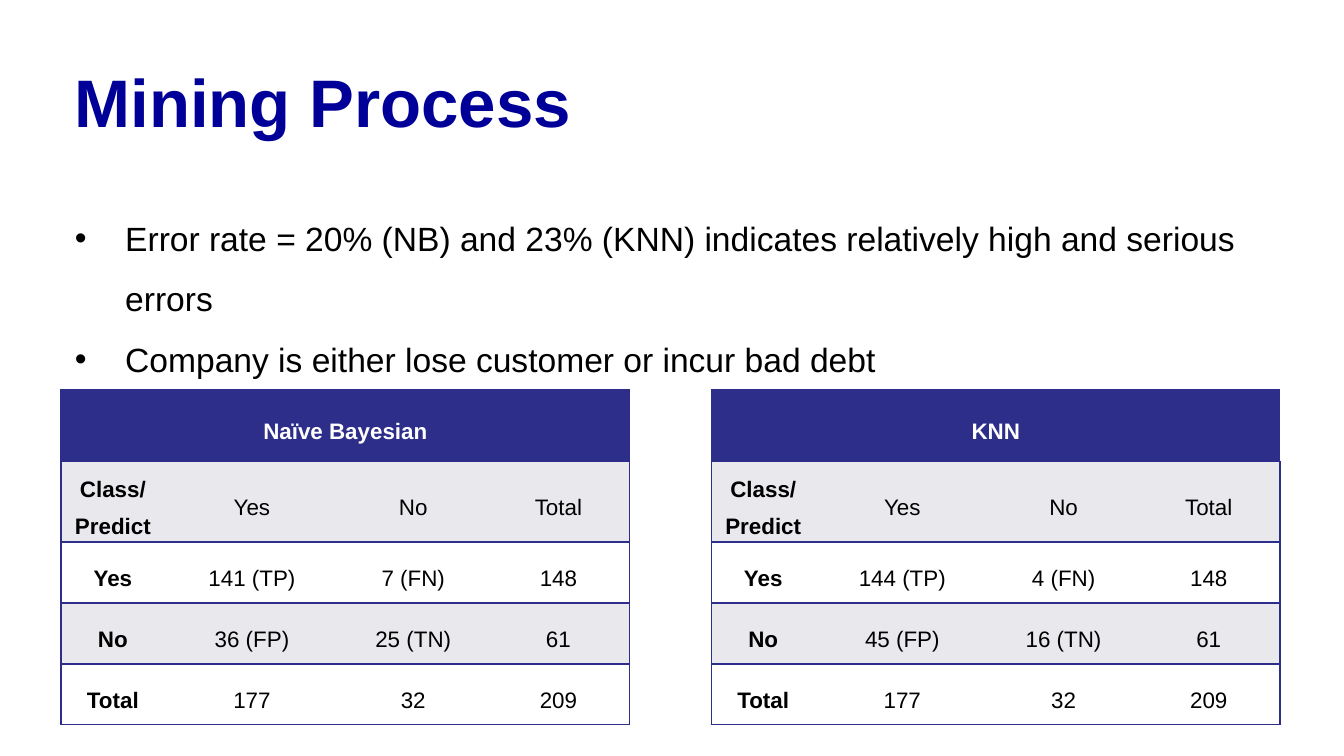
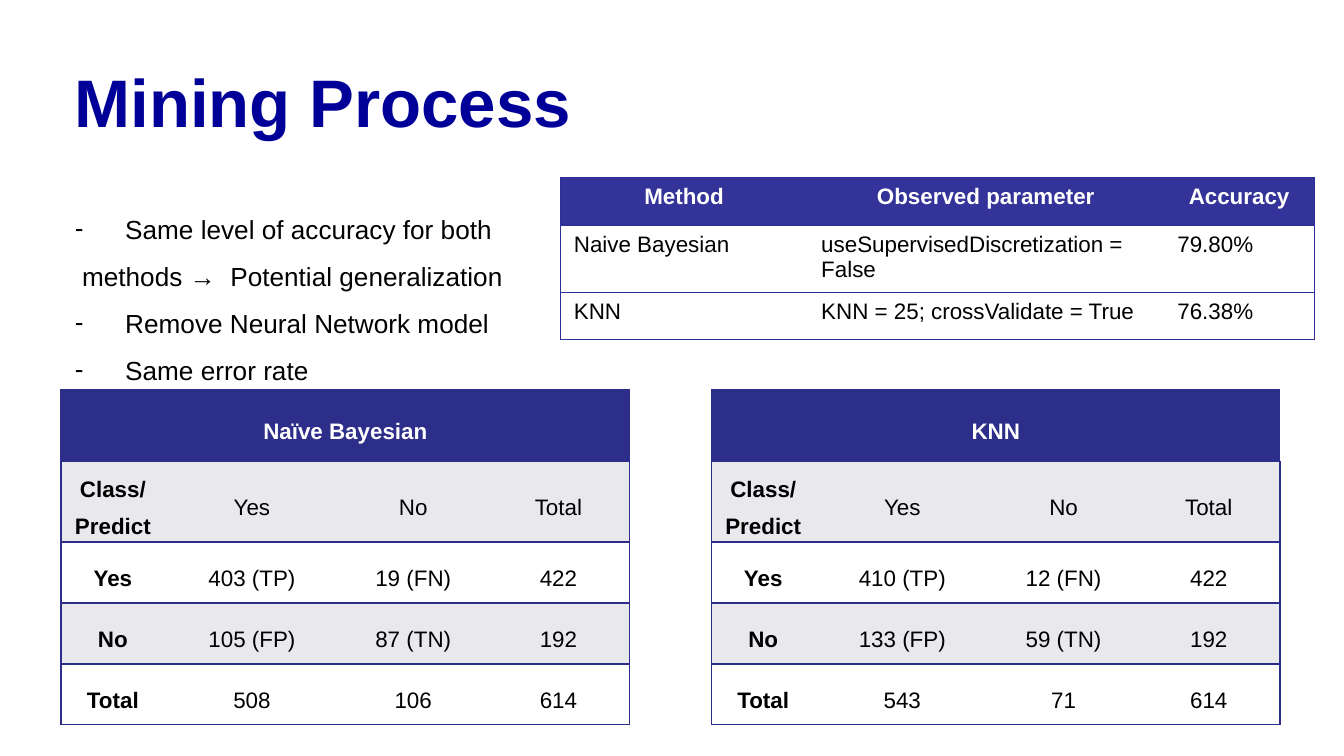
import dataclasses

import pptx
import pptx.dml.color
import pptx.enum.text
import pptx.oxml
import pptx.oxml.ns
import pptx.util

Pt = pptx.util.Pt
CENTER = pptx.enum.text.PP_ALIGN.CENTER
LEFT = pptx.enum.text.PP_ALIGN.LEFT
MIDDLE = pptx.enum.text.MSO_ANCHOR.MIDDLE
TOP = pptx.enum.text.MSO_ANCHOR.TOP


@dataclasses.dataclass(frozen=True)
class Theme:
    font: str = "Arial"
    title_color: str = "000099"
    text_color: str = "000000"
    white: str = "FFFFFF"
    matrix_color: str = "2D2D8A"
    matrix_band: str = "E8E8ED"
    method_fill: str = "333399"
    method_line: str = "2F2F98"
    title_size: int = 36
    table_size: int = 12
    title_spacing: float = 0.9
    text_spacing: float = 1.5
    no_table_style: str = "{2D5ABB26-0587-4C30-8999-92F81FD0307C}"


THEME = Theme()

# Boxes are left, top, width, height in points
SLIDE_SIZE = (720, 405)
TITLE_BOX = (33, 33.8, 653, 51.1)
BODY_BOX = (33, 102.2, 652.3, 268.6)
BAYES_BOX = (32.8, 208.8, 304.56, 177.1)
KNN_BOX = (381.2, 208.8, 304.56, 177.1)
METHOD_BOX = (300.24, 95.04, 403.9, 85.2)

MATRIX_COLUMNS = (55.4, 93.6, 79.2, 76.36)
MATRIX_ROWS = (38.4, 40.9, 32.6, 32.6, 32.6)
METHOD_COLUMNS = (132.5, 190.8, 80.6)
METHOD_ROWS = (25.5, 34.5, 25.2)
BULLET_INDENT = 27


def set_values(target, values):
    for name, value in values.items():
        setattr(target, name, value)


def write(paragraph, text, size, color, bold=False, **layout):
    set_values(paragraph, layout)
    run = paragraph.add_run()
    run.text = text
    set_values(run.font, {"name": THEME.font, "size": Pt(size), "bold": bold})
    run.font.color.rgb = pptx.dml.color.RGBColor.from_string(color)


def add_text_frame(slide, box):
    frame = slide.shapes.add_textbox(*map(Pt, box)).text_frame
    set_values(frame, {"word_wrap": True, "vertical_anchor": TOP})
    return frame


def add_title(slide, box, text):
    frame = add_text_frame(slide, box)
    write(frame.paragraphs[0], text, THEME.title_size, THEME.title_color,
          bold=True, line_spacing=THEME.title_spacing)


def add_bullet(paragraph, mark):
    properties = paragraph._p.get_or_add_pPr()
    properties.set("marL", str(Pt(BULLET_INDENT)))
    properties.set("indent", str(-Pt(BULLET_INDENT)))
    namespace = pptx.oxml.ns.nsdecls("a")
    for element in (f'buFont {namespace} typeface="{THEME.font}"',
                    f'buChar {namespace} char="{mark}"'):
        properties.append(pptx.oxml.parse_xml(f"<a:{element}/>"))


def add_body(slide, box, size, lines):
    """Each line is a pair of bullet mark (or None) and text."""
    frame = add_text_frame(slide, box)
    for index, (mark, text) in enumerate(lines):
        paragraph = frame.add_paragraph() if index else frame.paragraphs[0]
        write(paragraph, text, size, THEME.text_color,
              line_spacing=THEME.text_spacing)
        if mark:
            add_bullet(paragraph, mark)


def add_plain_table(slide, box, columns, rows):
    frame = slide.shapes.add_table(len(rows), len(columns), *map(Pt, box))
    table = frame.table
    set_values(table, {"first_row": False, "horz_banding": False})
    style = table._tbl.tblPr.find(pptx.oxml.ns.qn("a:tableStyleId"))
    style.text = THEME.no_table_style
    for column, width in zip(table.columns, columns):
        column.width = Pt(width)
    for row, height in zip(table.rows, rows):
        row.height = Pt(height)
    return table


def add_borders(cell, edges, color, width):
    """Draw the edges named in order by the letters L, R, T, B."""
    properties = cell._tc.get_or_add_tcPr()
    for edge in edges:
        properties.append(pptx.oxml.parse_xml(
            f'<a:ln{edge} {pptx.oxml.ns.nsdecls("a")} w="{Pt(width)}">'
            f'<a:solidFill><a:srgbClr val="{color}"/></a:solidFill>'
            f'</a:ln{edge}>'))


def style_cell(cell, column, last_column, fill, line, width):
    sides = ("L" if column == 0 else "") + ("R" if column == last_column else "")
    add_borders(cell, sides + "TB", line, width)
    cell.fill.solid()
    cell.fill.fore_color.rgb = pptx.dml.color.RGBColor.from_string(fill)


def add_confusion_matrix(slide, box, name, counts):
    table = add_plain_table(slide, box, MATRIX_COLUMNS, MATRIX_ROWS)
    heading = ("Class/Predict", "Yes", "No", "Total")
    labels = ("Yes", "No", "Total")
    values = [(name, "", "", ""), heading]
    values += [(label, *row) for label, row in zip(labels, counts)]
    table.cell(0, 0).merge(table.cell(0, len(heading) - 1))
    for row, texts in enumerate(values):
        header = row == 0
        banded = THEME.matrix_band if row % 2 else THEME.white
        for column, text in enumerate(texts):
            cell = table.cell(row, column)
            style_cell(cell, column, len(heading) - 1,
                       THEME.matrix_color if header else banded,
                       THEME.matrix_color, 1)
            set_values(cell, {"vertical_anchor": MIDDLE,
                              "margin_left": Pt(5), "margin_right": Pt(5),
                              "margin_top": 0, "margin_bottom": 0})
            if text:
                write(cell.text_frame.paragraphs[0], text, THEME.table_size,
                      THEME.white if header else THEME.text_color,
                      bold=column == 0, alignment=CENTER,
                      line_spacing=THEME.text_spacing)


def add_method_table(slide, box, values):
    table = add_plain_table(slide, box, METHOD_COLUMNS, METHOD_ROWS)
    for row, texts in enumerate(values):
        header = row == 0
        for column, text in enumerate(texts):
            cell = table.cell(row, column)
            style_cell(cell, column, len(texts) - 1,
                       THEME.method_fill if header else THEME.white,
                       THEME.method_line, 0.75)
            write(cell.text_frame.paragraphs[0], text, THEME.table_size,
                  THEME.white if header else THEME.text_color,
                  bold=header, alignment=CENTER if header else LEFT)


def add_mining_slide(presentation, body_size, lines, bayes, knn, methods=None):
    slide = presentation.slides.add_slide(presentation.slide_layouts[6])
    add_title(slide, TITLE_BOX, "Mining Process")
    add_body(slide, BODY_BOX, body_size, lines)
    if methods:
        add_method_table(slide, METHOD_BOX, methods)
    add_confusion_matrix(slide, BAYES_BOX, "Naïve Bayesian", bayes)
    add_confusion_matrix(slide, KNN_BOX, "KNN", knn)


def main():
    presentation = pptx.Presentation()
    width, height = map(Pt, SLIDE_SIZE)
    set_values(presentation, {"slide_width": width, "slide_height": height})

    # Error rates
    add_mining_slide(
        presentation, 18,
        lines=[
            ("•", "Error rate = 20% (NB) and 23% (KNN) indicates relatively "
                  "high and serious errors"),
            ("•", "Company is either lose customer or incur bad debt"),
        ],
        bayes=[("141 (TP)", "7 (FN)", "148"),
               ("36 (FP)", "25 (TN)", "61"),
               ("177", "32", "209")],
        knn=[("144 (TP)", "4 (FN)", "148"),
             ("45 (FP)", "16 (TN)", "61"),
             ("177", "32", "209")])

    # Accuracy of both methods
    add_mining_slide(
        presentation, 14,
        lines=[
            ("-", "Same level of accuracy for both"),
            (None, " methods →  Potential generalization"),
            ("-", "Remove Neural Network model"),
            ("-", "Same error rate"),
        ],
        bayes=[("403 (TP)", "19 (FN)", "422"),
               ("105 (FP)", "87 (TN)", "192"),
               ("508", "106", "614")],
        knn=[("410 (TP)", "12 (FN)", "422"),
             ("133 (FP)", "59 (TN)", "192"),
             ("543", "71", "614")],
        methods=[
            ("Method", "Observed parameter", "Accuracy"),
            ("Naive Bayesian", "useSupervisedDiscretization = False", "79.80%"),
            ("KNN", "KNN = 25; crossValidate = True", "76.38%"),
        ])

    presentation.save("out.pptx")


if __name__ == "__main__":
    main()
